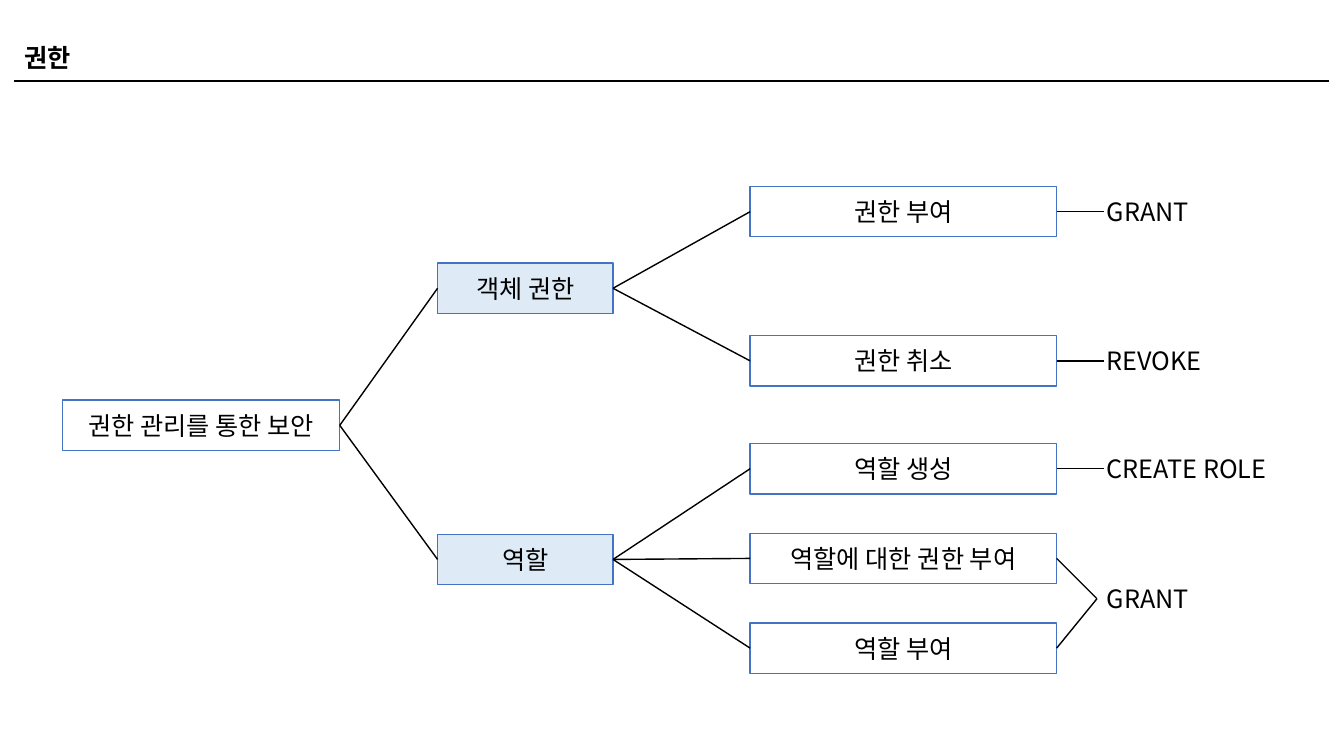
from lxml import etree
from pptx import Presentation
from pptx.dml.color import RGBColor
from pptx.enum.shapes import MSO_CONNECTOR, MSO_SHAPE
from pptx.enum.text import MSO_ANCHOR, PP_ALIGN
from pptx.oxml.ns import qn
from pptx.util import Emu, Pt

LEFT_SITE, RIGHT_SITE = 1, 3


def px(n):
    """100 px to the inch."""
    return Emu(n * 9144)


def rgb(value):
    return RGBColor.from_string(value)


class Diagram:
    font = "Noto Sans CJK KR"
    size = 18
    ink, outline = "000000", "4472C4"
    box_h = 50

    def __init__(self, slide):
        self.shapes = slide.shapes

    def set_text(self, sp, text, bold=False, align=PP_ALIGN.LEFT, anchor=MSO_ANCHOR.MIDDLE):
        tf = sp.text_frame
        tf.word_wrap = True
        tf.vertical_anchor = anchor
        p = tf.paragraphs[0]
        p.text = text
        p.alignment = align
        r = p.runs[0]
        r.font.size = Pt(self.size)
        r.font.bold = bold
        r.font.color.rgb = rgb(self.ink)
        r.font.name = self.font
        etree.SubElement(r._r.get_or_add_rPr(), qn("a:ea"), typeface=self.font)

    def box(self, x, y, w, text, fill="FFFFFF"):
        sp = self.shapes.add_shape(MSO_SHAPE.RECTANGLE, px(x), px(y), px(w), px(self.box_h))
        sp.shadow.inherit = False
        sp.fill.solid()
        sp.fill.fore_color.rgb = rgb(fill)
        sp.line.color.rgb = rgb(self.outline)
        sp.line.width = Pt(1)
        self.set_text(sp, text, align=PP_ALIGN.CENTER)
        return sp

    def label(self, x, y, w, h, text, **style):
        sp = self.shapes.add_textbox(px(x), px(y), px(w), px(h))
        self.set_text(sp, text, **style)

    def line(self, x1, y1, x2, y2, width=1):
        cn = self.shapes.add_connector(MSO_CONNECTOR.STRAIGHT, px(x1), px(y1), px(x2), px(y2))
        cn.line.color.rgb = rgb(self.ink)
        cn.line.width = Pt(width)
        etree.SubElement(cn._element.spPr, qn("a:effectLst"))
        return cn

    def link(self, parent, child):
        cn = self.line(0, 0, 0, 0)
        cn.begin_connect(parent, RIGHT_SITE)
        cn.end_connect(child, LEFT_SITE)


def main():
    prs = Presentation()
    prs.slide_width, prs.slide_height = px(1333), px(750)
    d = Diagram(prs.slides.add_slide(prs.slide_layouts[6]))

    # Title and rule
    d.line(14, 80, 1318, 80, width=1.5)
    d.label(14, 37, 1304, 40, "권한", bold=True, anchor=MSO_ANCHOR.TOP)

    # Tree of boxes: branch, its top, and its tasks with their tops
    branches = [
        ("객체 권한", 261, [("권한 부여", 185), ("권한 취소", 333)]),
        ("역할", 530, [("역할 생성", 440), ("역할에 대한 권한 부여", 529), ("역할 부여", 618)]),
    ]
    root = d.box(62, 397, 275, "권한 관리를 통한 보안")
    for name, top, tasks in branches:
        branch = d.box(434, top, 174, name, fill="DEEBF7")
        d.link(root, branch)
        for task, task_top in tasks:
            d.link(branch, d.box(744, task_top, 304, task))

    # Commands level with a single task
    for command, top in [("GRANT", 185), ("REVOKE", 333), ("CREATE ROLE", 440)]:
        d.label(1088, top, 195, d.box_h, command)
        middle = top + d.box_h // 2
        d.line(1048, middle, 1095, middle)

    # Command shared by the last two tasks
    d.label(1088, 569, 195, d.box_h, "GRANT")
    for middle in (554, 643):
        d.line(1048, middle, 1088, 594)

    prs.save("out.pptx")


if __name__ == "__main__":
    main()
